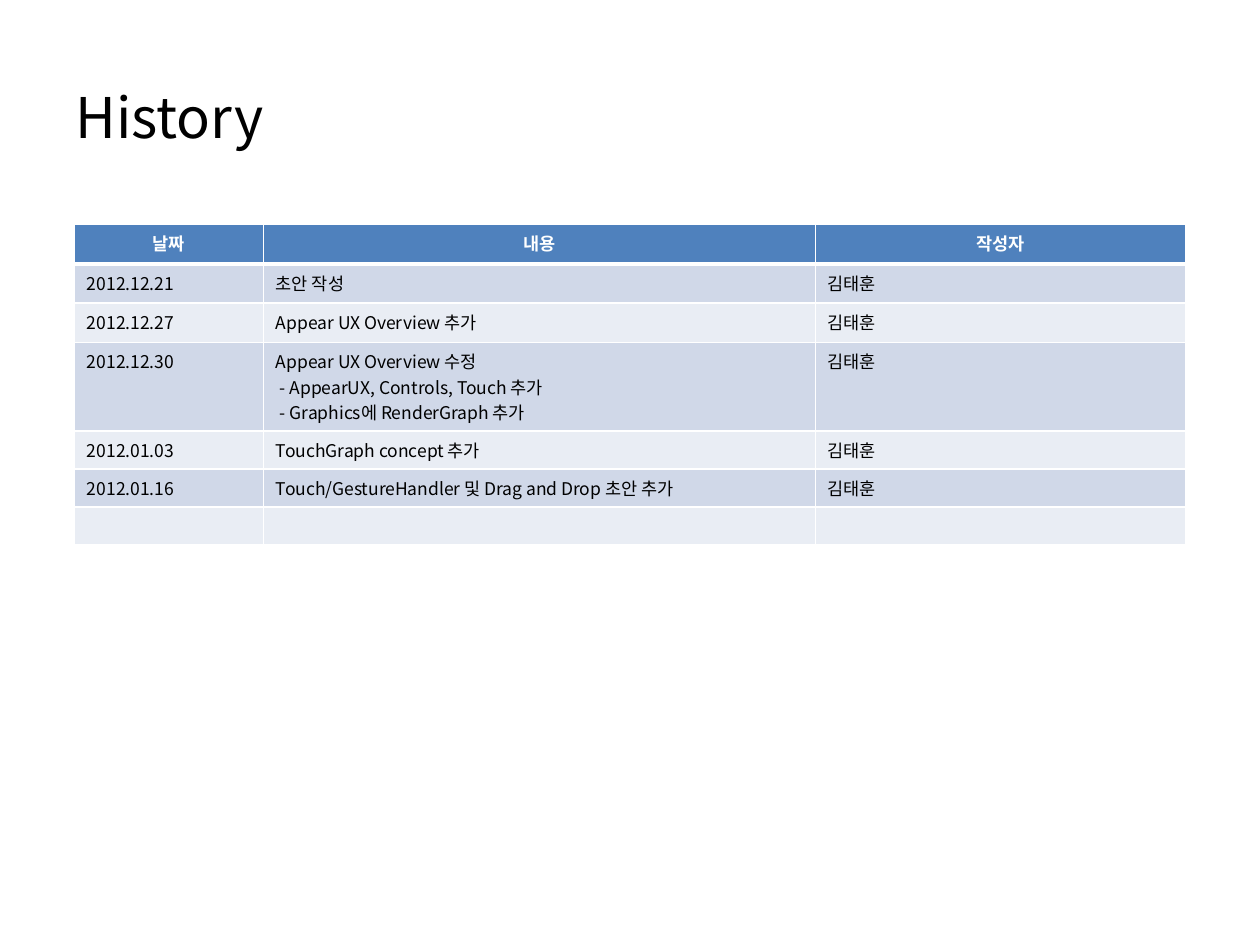
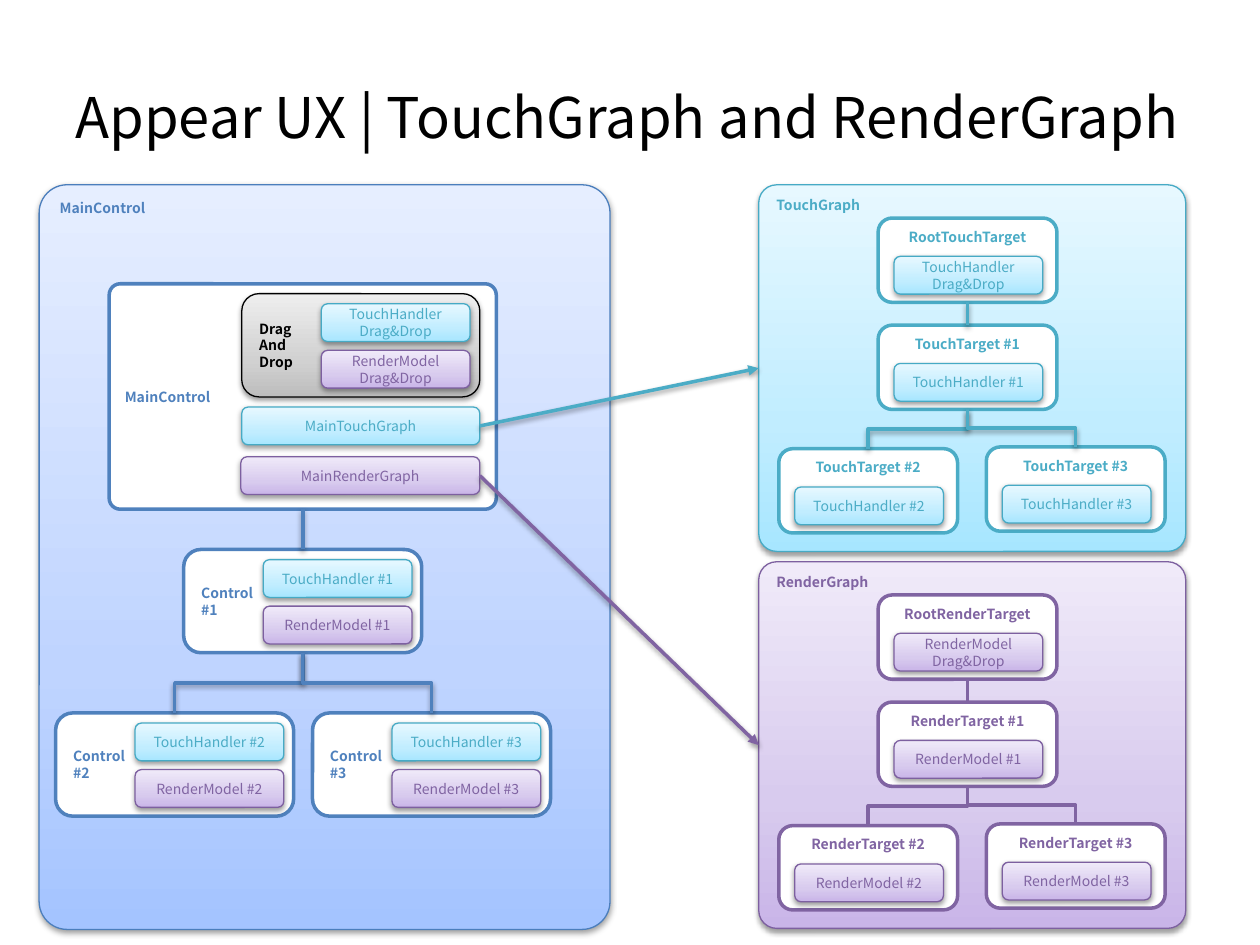
from lxml.etree import SubElement
from pptx import Presentation
from pptx.dml.color import RGBColor as RGB
from pptx.enum.shapes import MSO_CONNECTOR as LINE, MSO_SHAPE as SHAPE
from pptx.enum.text import MSO_ANCHOR as ANCHOR, PP_ALIGN as ALIGN
from pptx.oxml.ns import qn
from pptx.util import Pt

FONT = "Noto Sans CJK KR"
COLORS = {
    "black": "000000", "white": "FFFFFF", "control": "4F81BD", "touch": "4BACC6",
    "render": "8064A2", "band_dark": "D0D8E8", "band_light": "E9EDF4",
}
# Gradient stops from bottom to top, then the outline
GLOSS = {
    "control": ("A4C4FF", "BFD4FF", "E6EEFF", "4B7EBC"),
    "touch": ("A7E6FF", "C1EDFF", "E7F8FF", "46AAC5"),
    "render": ("C9B5E8", "D8CBEE", "F0EAF9", "7D60A0"),
    "black": ("BDBDBD", "D1D1D1", "EEEEEE", "000000"),
}
BUTTON_W, BUTTON_H = 85, 21.6
CONTROL_W, CONTROL_H = 136, 59
TARGET_W, TARGET_H = 102.2, 48.2


def sub(parent, tag, **attrs):
    return SubElement(parent, qn(tag), {k: str(v) for k, v in attrs.items()})


class Deck:
    def __init__(self):
        self.prs = Presentation()
        self.prs.slide_width, self.prs.slide_height = Pt(720), Pt(540)
        self.s = None

    def slide(self, title):
        self.s = self.prs.slides.add_slide(self.prs.slide_layouts[6])
        self.title = title

    def heading(self):
        tf = self.s.shapes.add_textbox(Pt(36), Pt(21.6), Pt(648), Pt(90)).text_frame
        tf.word_wrap = True
        tf.vertical_anchor = ANCHOR.MIDDLE
        self.text(tf, self.title, 32, "black")

    def text(self, tf, text, size, color, bold=False, align=ALIGN.LEFT):
        for i, line in enumerate(text.split("\n")):
            p = tf.add_paragraph() if i else tf.paragraphs[0]
            p.alignment = align
            if line.startswith("- "):
                p._p.get_or_add_pPr().set("marL", str(Pt(2.2)))
            if not line:
                sub(p._p, "a:endParaRPr", sz=size * 100)
                continue
            r = p.add_run()
            r.text = line
            r.font.name, r.font.size, r.font.bold = FONT, Pt(size), bold
            r.font.color.rgb = RGB.from_string(COLORS[color])
            sub(r._r.get_or_add_rPr(), "a:ea", typeface=FONT)

    def shadow(self, effects):
        sh = sub(effects, "a:outerShdw", blurRad=Pt(3.1), dist=Pt(1.6),
                 dir=5400000, rotWithShape=0)
        sub(sub(sh, "a:srgbClr", val=COLORS["black"]), "a:alpha", val=38000)

    def box(self, x, y, w, h, text, color, gloss=False, bold=True,
            align=ALIGN.LEFT, anchor=ANCHOR.MIDDLE, adj=None):
        sp = self.s.shapes.add_shape(SHAPE.ROUNDED_RECTANGLE, Pt(x), Pt(y), Pt(w), Pt(h))
        if adj:
            sp.adjustments[0] = adj
        sp.shadow.inherit = False
        if gloss:
            *stops, outline = GLOSS[color]
            sp.fill.gradient()
            sp.fill.gradient_angle = 90
            gs_list = sp._element.spPr.find(".//" + qn("a:gsLst"))
            for gs in list(gs_list):
                gs_list.remove(gs)
            for pos, stop in zip((0, 35, 100), stops):
                sub(sub(gs_list, "a:gs", pos=pos * 1000), "a:srgbClr", val=stop)
            self.shadow(sp._element.spPr.find(qn("a:effectLst")))
        else:
            outline = COLORS[color]
            sp.fill.solid()
            sp.fill.fore_color.rgb = RGB.from_string(COLORS["white"])
        sp.line.color.rgb = RGB.from_string(outline)
        sp.line.width = Pt(0.75 if gloss else 2)
        tf = sp.text_frame
        tf.word_wrap = True
        tf.vertical_anchor = anchor
        self.text(tf, text, 8, color, bold, align)

    def panel(self, x, y, w, h, text, color):
        self.box(x, y, w, h, text, color, gloss=True, anchor=ANCHOR.TOP, adj=0.049)

    def button(self, x, y, text, color, w=BUTTON_W):
        self.box(x, y, w, BUTTON_H, text, color, gloss=True, bold=False, align=ALIGN.CENTER)

    def control(self, x, y, text, touch, render, color="control", gloss=False):
        self.box(x, y, CONTROL_W, CONTROL_H, text, color, gloss)
        self.button(x + 45.4, y + 5.8, touch, "touch")
        self.button(x + 45.4, y + 32.4, render, "render")

    def target(self, x, y, text, handler, color):
        self.box(x, y, TARGET_W, TARGET_H, text, color, align=ALIGN.CENTER, anchor=ANCHOR.TOP)
        self.button(x + 9.1, y + 21.9, handler, color)

    def line(self, kind, x1, y1, x2, y2, color, shadow=True, arrow=False):
        c = self.s.shapes.add_connector(kind, Pt(x1), Pt(y1), Pt(x2), Pt(y2))
        c.line.color.rgb = RGB.from_string(COLORS[color])
        c.line.width = Pt(2)
        if arrow:
            sub(c.line._get_or_add_ln(), "a:tailEnd", type="triangle")
        effects = sub(c._element.spPr, "a:effectLst")
        if shadow:
            self.shadow(effects)
        return c

    def branch(self, x1, y1, x2, y2, color, shadow=True):
        """Line that leaves downwards, bends halfway and arrives downwards."""
        if x1 == x2:
            self.line(LINE.STRAIGHT, x1, y1, x2, y2, color, shadow)
            return
        # A quarter turn about the centre makes the elbow start vertically
        cx, cy, half_w, half_h = (x1 + x2) / 2, (y1 + y2) / 2, (y2 - y1) / 2, (x1 - x2) / 2
        c = self.line(LINE.ELBOW, cx - half_w, cy - half_h, cx + half_w, cy + half_h,
                      color, shadow)
        c._element.spPr.find(qn("a:xfrm")).set("rot", "5400000")

    def table(self, x, y, widths, heights, rows):
        tb = self.s.shapes.add_table(len(rows), len(widths), Pt(x), Pt(y),
                                     Pt(sum(widths)), Pt(sum(heights))).table
        for col, w in zip(tb.columns, widths):
            col.width = Pt(w)
        for i, (row, h) in enumerate(zip(rows, heights)):
            tb.rows[i].height = Pt(h)
            head = i == 0
            fill = "control" if head else "band_dark" if i % 2 else "band_light"
            for j, text in enumerate(row):
                cell = tb.cell(i, j)
                for side in "LRTB":
                    width = 3 if (head and side == "B") or (i == 1 and side == "T") else 1
                    ln = sub(cell._tc.get_or_add_tcPr(), "a:ln" + side, w=Pt(width))
                    sub(sub(ln, "a:solidFill"), "a:srgbClr", val=COLORS["white"])
                cell.fill.solid()
                cell.fill.fore_color.rgb = RGB.from_string(COLORS[fill])
                self.text(cell.text_frame, text, 10, "white" if head else "black",
                          head, ALIGN.CENTER if head else ALIGN.LEFT)


def history(d):
    d.slide("History")
    d.heading()
    author = "김태훈"
    entries = [
        ("2012.12.21", "초안 작성"),
        ("2012.12.27", "Appear UX Overview 추가"),
        ("2012.12.30", "Appear UX Overview 수정\n- AppearUX, Controls, Touch 추가\n"
                       "- Graphics에 RenderGraph 추가"),
        ("2012.01.03", "TouchGraph concept 추가"),
        ("2012.01.16", "Touch/GestureHandler 및 Drag and Drop 초안 추가"),
    ]
    rows = [("날짜", "내용", "작성자"), *((*e, author) for e in entries), ("", "", "")]
    d.table(42.5, 128.3, (108, 315.4, 211.7), (22.5, 22.5, 22.5, 50.6, 21.7, 21.7, 21.5), rows)


def graph(d, y, kind, handler, drag_drop, shadow):
    """Panel with a tree of four targets."""
    x, color = 433.6, kind.lower()
    d.panel(x, y, 244, 209.5, f"{kind}Graph", color)
    spots = [(68.2, 19), (68.2, 80.2), (11.4, 150.8), (130, 149.8)]
    names = [f"Root{kind}Target"] + [f"{kind}Target #{n}" for n in (1, 2, 3)]
    labels = [drag_drop] + [f"{handler} #{n}" for n in (1, 2, 3)]
    for (dx, dy), name, label in zip(spots, names, labels):
        d.target(x + dx, y + dy, name, label, color)
    for parent, child in ((0, 1), (1, 2), (1, 3)):
        (px, py), (cx, cy) = spots[parent], spots[child]
        mid = x + TARGET_W / 2
        d.branch(mid + px, y + py + TARGET_H, mid + cx, y + cy, color, shadow)


def touch_and_render(d):
    d.slide("Appear UX | TouchGraph and RenderGraph")
    d.panel(22.4, 105.6, 326.2, 425.5, "MainControl", "control")
    d.heading()

    # Control tree
    spots = [(105, 314), (31.8, 407.4), (178.6, 407.4)]
    for n, (x, y) in enumerate(spots, 1):
        d.control(x, y, f"Control\n#{n}", f"TouchHandler #{n}", f"RenderModel #{n}")
    root_x = spots[0][0] + CONTROL_W / 2
    for x, y in spots[1:]:
        d.branch(root_x, spots[0][1] + CONTROL_H, x + CONTROL_W / 2, y, "control")

    # Main control with its drag and drop part and graphs
    d.box(62.4, 162.2, 221.2, 128.8, "MainControl", "control", adj=0.049)
    d.control(138.2, 167.8, "Drag\nAnd\nDrop", "TouchHandler\nDrag&Drop",
              "RenderModel Drag&Drop", "black", gloss=True)
    d.branch(root_x, 291, root_x, spots[0][1], "control")
    d.button(138.2, 232.6, "MainTouchGraph", "touch", CONTROL_W)
    d.button(137.6, 261, "MainRenderGraph", "render", 136.6)

    # Graphs and the arrows to them
    graph(d, 105.6, "Touch", "TouchHandler", "TouchHandler\nDrag&Drop", True)
    graph(d, 321, "Render", "RenderModel", "RenderModel Drag&Drop", False)
    d.line(LINE.STRAIGHT, 274.2, 243.4, 433.6, 210.4, "touch", arrow=True)
    d.line(LINE.STRAIGHT, 274.2, 271.8, 433.6, 425.8, "render", arrow=True)


def main():
    d = Deck()
    history(d)
    touch_and_render(d)
    d.prs.save("out.pptx")


if __name__ == "__main__":
    main()
